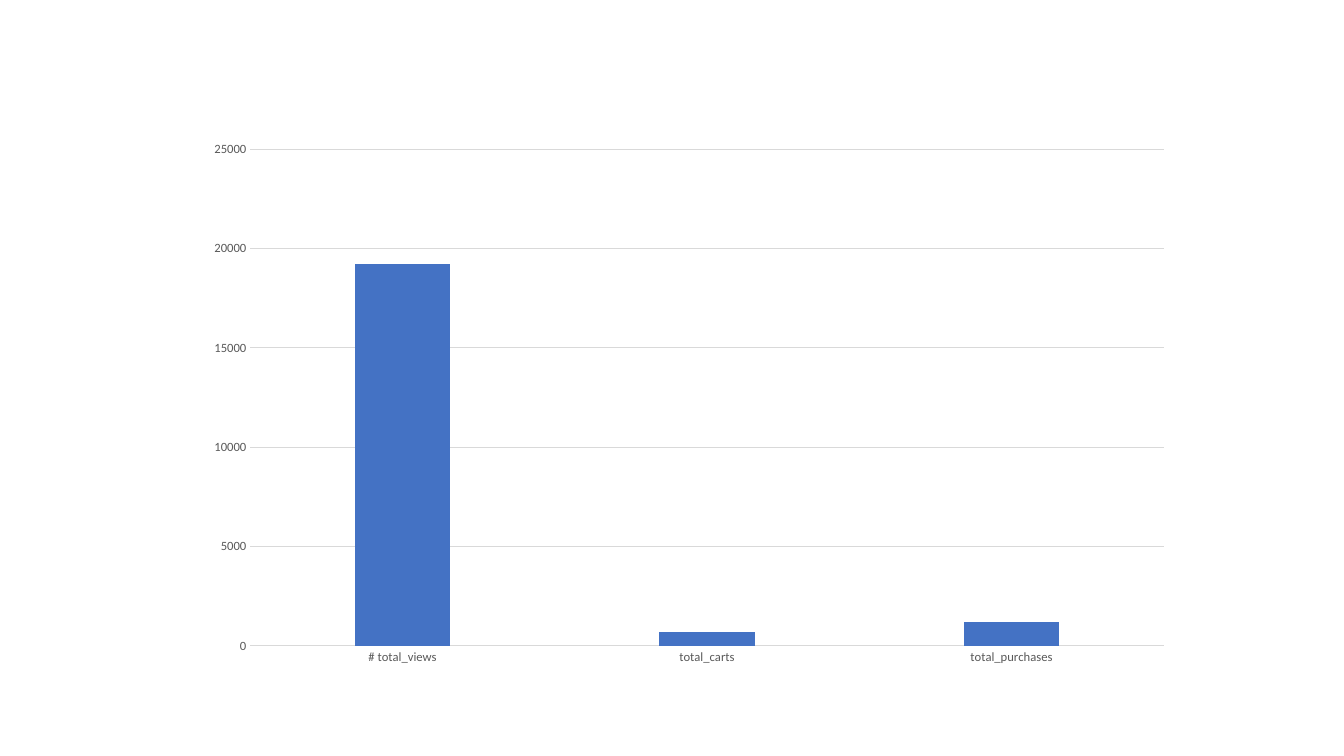
import pptx
import pptx.chart.data
import pptx.dml.color
import pptx.enum.chart
import pptx.util

Pt = pptx.util.Pt
TOTALS = {"# total_views": 19200, "total_carts": 700, "total_purchases": 1200}
SERIES_NAME = "Series 1"
FONT = "Calibri"
BAR_BLUE = pptx.dml.color.RGBColor(0x44, 0x72, 0xC4)
LABEL_GRAY = pptx.dml.color.RGBColor(0x59, 0x59, 0x59)
RULE_GRAY = pptx.dml.color.RGBColor(0xD9, 0xD9, 0xD9)
BLACK = pptx.dml.color.RGBColor(0, 0, 0)
SLIDE_SIZE = (960, 540)
FUNNEL_BOX = (139, 93.6, 706.3, 388.8)
VIEW_MAX, VIEW_STEP = 25000, 5000


def style_font(font, size, color):
    font.name = FONT
    font.size = Pt(size)
    font.color.rgb = color


def style_rule(line):
    line.color.rgb = RULE_GRAY
    line.width = Pt(0.75)


def style_axis(axis):
    axis.major_tick_mark = pptx.enum.chart.XL_TICK_MARK.NONE
    axis.minor_tick_mark = pptx.enum.chart.XL_TICK_MARK.NONE
    style_font(axis.tick_labels.font, 9, LABEL_GRAY)


def add_funnel(slide):
    totals = pptx.chart.data.CategoryChartData()
    totals.categories = list(TOTALS)
    totals.add_series(SERIES_NAME, list(TOTALS.values()))
    funnel = slide.shapes.add_chart(
        pptx.enum.chart.XL_CHART_TYPE.COLUMN_CLUSTERED,
        *(Pt(length) for length in FUNNEL_BOX),
        totals,
    ).chart
    funnel.has_title = False
    funnel.has_legend = False
    style_font(funnel.font, 10, BLACK)

    bars = funnel.plots[0]
    bars.vary_by_categories = False
    bars.gap_width = 219
    bars.overlap = -27
    fill = bars.series[0].format.fill
    fill.solid()
    fill.fore_color.rgb = BAR_BLUE

    stages, counts = funnel.category_axis, funnel.value_axis
    style_axis(stages)
    style_axis(counts)
    style_rule(stages.format.line)
    counts.format.line.fill.background()
    counts.has_major_gridlines = True
    style_rule(counts.major_gridlines.format.line)
    counts.minimum_scale = 0
    counts.maximum_scale = VIEW_MAX
    counts.major_unit = VIEW_STEP
    counts.tick_labels.number_format = "General"
    counts.tick_labels.number_format_is_linked = False


def main():
    deck = pptx.Presentation()
    deck.slide_width, deck.slide_height = (Pt(length) for length in SLIDE_SIZE)
    add_funnel(deck.slides.add_slide(deck.slide_layouts[6]))
    deck.save("out.pptx")


if __name__ == "__main__":
    main()
